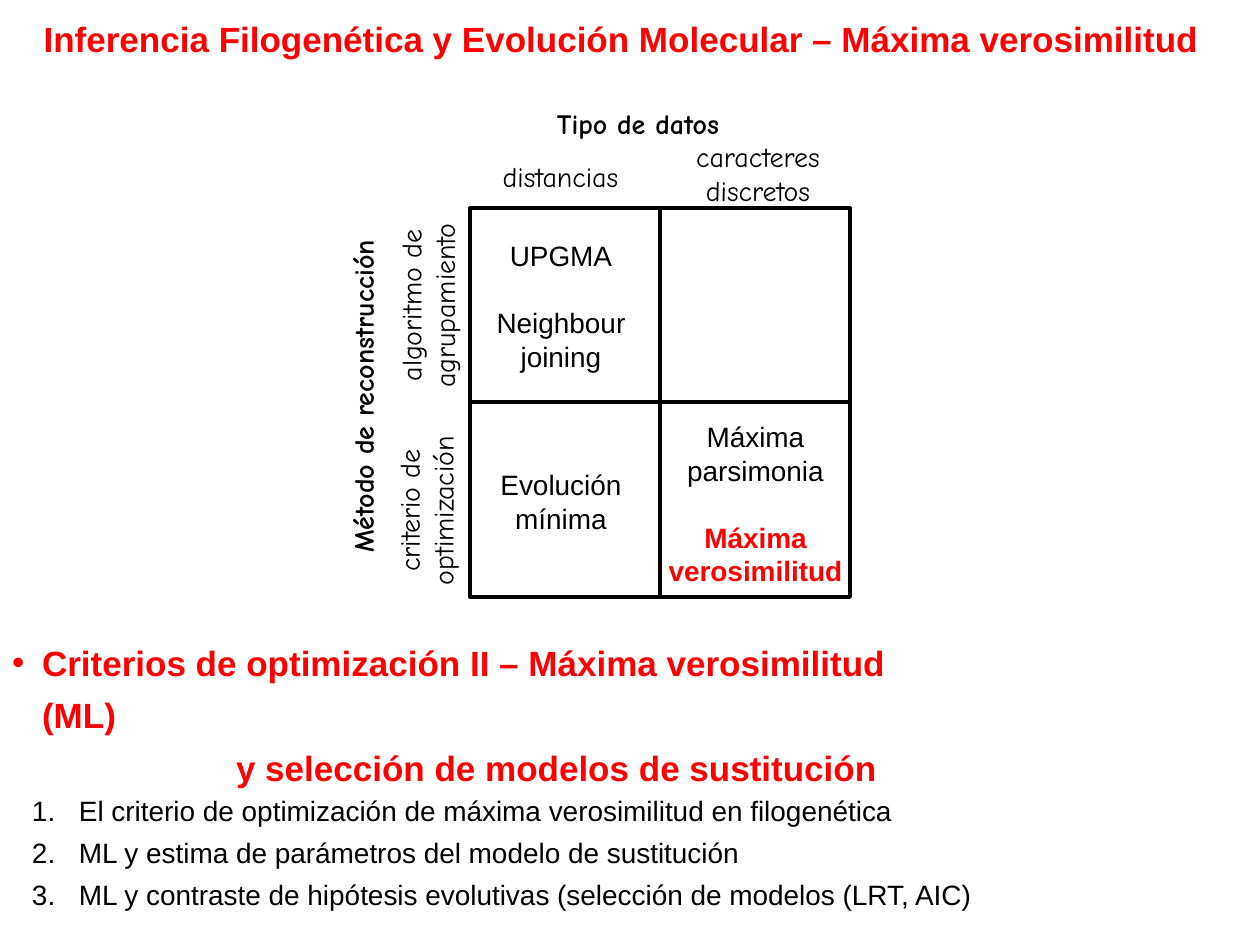
from dataclasses import dataclass

from lxml.etree import SubElement
from pptx import Presentation
from pptx.dml.color import RGBColor
from pptx.enum.shapes import MSO_CONNECTOR as Connector, MSO_SHAPE as Preset
from pptx.enum.text import MSO_ANCHOR as Anchor, MSO_AUTO_SIZE as AutoSize, PP_ALIGN as Align
from pptx.oxml.ns import qn
from pptx.util import Emu, Pt

PX_PER_INCH = 126
EMU_PER_PX = 914400 / PX_PER_INCH
RED = RGBColor(0xFF, 0x00, 0x00)
BLACK = RGBColor(0x00, 0x00, 0x00)
SANS, HAND = "Arial", "Comic Neue"
TWO_CONTENT_LAYOUT = 3
BLANK_LINE = Pt(19)


@dataclass(frozen=True)
class Line:
    text: str
    color: RGBColor = BLACK
    bold: bool = False
    gap: int = 0  # space before
    align: Align = Align.CENTER
    spacing: float = 1.0
    margin: int = 0  # left margin in px
    hanging: int = 0  # hanging indent in px
    bullet: tuple[str, str, str] | None = None  # tag, attribute, value


@dataclass(frozen=True)
class Label:
    area: tuple[int, int, int, int]
    lines: tuple[Line, ...]
    font: str = HAND
    rotation: int = 0


def px(length: int) -> Emu:
    return Emu(round(length * EMU_PER_PX))


def set_all(target, values: dict) -> None:
    for name, value in values.items():
        setattr(target, name, value)


def place(box, area: tuple[int, int, int, int]) -> None:
    set_all(box, dict(zip(("left", "top", "width", "height"), map(px, area))))


def set_bullet(para, line: Line) -> None:
    props = para._p.get_or_add_pPr()
    props.set("marL", str(px(line.margin)))
    props.set("indent", str(-px(line.hanging)))
    if line.bullet is None:
        SubElement(props, qn("a:buNone"))
        return
    tag, attribute, value = line.bullet
    bullet_color = SubElement(props, qn("a:buClr"))
    SubElement(bullet_color, qn("a:srgbClr")).set("val", str(line.color))
    SubElement(props, qn("a:buFont")).set("typeface", SANS)
    SubElement(props, qn(tag)).set(attribute, value)


def write(box, lines: tuple[Line, ...], font: str, size: int, wrap: bool) -> None:
    frame = box.text_frame
    set_all(frame, {
        "word_wrap": wrap, "auto_size": AutoSize.NONE, "vertical_anchor": Anchor.TOP,
        "margin_left": px(12), "margin_right": px(12),
        "margin_top": px(6), "margin_bottom": px(6),
    })
    for index, line in enumerate(lines):
        para = frame.add_paragraph() if index else frame.paragraphs[0]
        set_all(para, {
            "alignment": line.align, "line_spacing": line.spacing,
            "space_before": line.gap, "space_after": Pt(0),
        })
        set_bullet(para, line)
        span = para.add_run()
        span.text = line.text
        set_all(span.font, {"name": font, "size": Pt(size), "bold": line.bold})
        span.font.color.rgb = line.color


def draw_label(page, label: Label) -> None:
    box = page.shapes.add_textbox(*map(px, label.area))
    box.rotation = label.rotation
    write(box, label.lines, label.font, 16, wrap=False)


def draw_divider(page, frame, first_side: int, last_side: int) -> None:
    divider = page.shapes.add_connector(Connector.STRAIGHT, 0, 0, 0, 0)
    divider.begin_connect(frame, first_side)
    divider.end_connect(frame, last_side)
    set_all(divider.line, {"width": Pt(2.25)})
    divider.line.color.rgb = BLACK
    SubElement(divider._element.spPr, qn("a:effectLst"))


def draw_matrix(page) -> None:
    frame = page.shapes.add_shape(Preset.RECTANGLE, *map(px, (470, 208, 380, 389)))
    frame.shadow.inherit = False
    frame.fill.background()
    frame.line.width = Pt(2.25)
    frame.line.color.rgb = BLACK
    for sides in ((0, 2), (1, 3)):
        draw_divider(page, frame, *sides)


LABELS = (
    # Matrix cells
    Label((484, 233, 154, 147),
          (Line("UPGMA"), Line("Neighbour", gap=BLANK_LINE), Line("joining")), SANS),
    Label((488, 462, 146, 81), (Line("Evolución"), Line("mínima")), SANS),
    Label((656, 414, 199, 181),
          (Line("Máxima"), Line("parsimonia"),
           Line("Máxima", RED, True, BLANK_LINE), Line("verosimilitud", RED, True)), SANS),
    # Column headings
    Label((544, 101, 188, 47), (Line("Tipo de datos", bold=True),)),
    Label((490, 154, 141, 47), (Line("distancias"),)),
    Label((683, 134, 150, 81), (Line("caracteres"), Line("discretos"))),
    # Row headings
    Label((194, 373, 339, 47), (Line("Método de reconstrucción", bold=True),), rotation=270),
    Label((339, 470, 175, 81), (Line("criterio de"), Line("optimización")), rotation=270),
    Label((333, 265, 190, 81), (Line("algoritmo de"), Line("agrupamiento")), rotation=270),
)

TITLE = (Line("Inferencia Filogenética y Evolución Molecular – Máxima verosimilitud", RED, True),)

HEADING_STYLE = {"color": RED, "bold": True, "align": Align.LEFT, "spacing": 1.25}
HEADING = (
    Line("Criterios de optimización II – Máxima verosimilitud (ML)", margin=30, hanging=30,
         bullet=("a:buChar", "char", "•"), **HEADING_STYLE),
    Line("y selección de modelos de sustitución", margin=224, **HEADING_STYLE),
)

TOPICS = tuple(
    Line(text, align=Align.LEFT, spacing=1.25, margin=47, hanging=47,
         bullet=("a:buAutoNum", "type", "arabicPeriod"))
    for text in (
        "El criterio de optimización de máxima verosimilitud en filogenética",
        "ML y estima de parámetros del modelo de sustitución",
        "ML y contraste de hipótesis evolutivas (selección de modelos (LRT, AIC)",
    )
)


def main() -> None:
    deck = Presentation()
    set_all(deck, {"slide_width": px(1260), "slide_height": px(945)})
    page = deck.slides.add_slide(deck.slide_layouts[TWO_CONTENT_LAYOUT])

    # Title, section heading and numbered topics
    title, heading, topics = list(page.placeholders)[:3]
    for box, area, lines, size in (
        (title, (-16, 11, 1275, 55), TITLE, 20),
        (heading, (0, 625, 964, 118), HEADING, 20),
        (topics, (20, 779, 1065, 139), TOPICS, 16),
    ):
        place(box, area)
        write(box, lines, SANS, size, wrap=True)

    # Method matrix with its labels
    draw_matrix(page)
    for label in LABELS:
        draw_label(page, label)

    deck.save("out.pptx")


if __name__ == "__main__":
    main()
